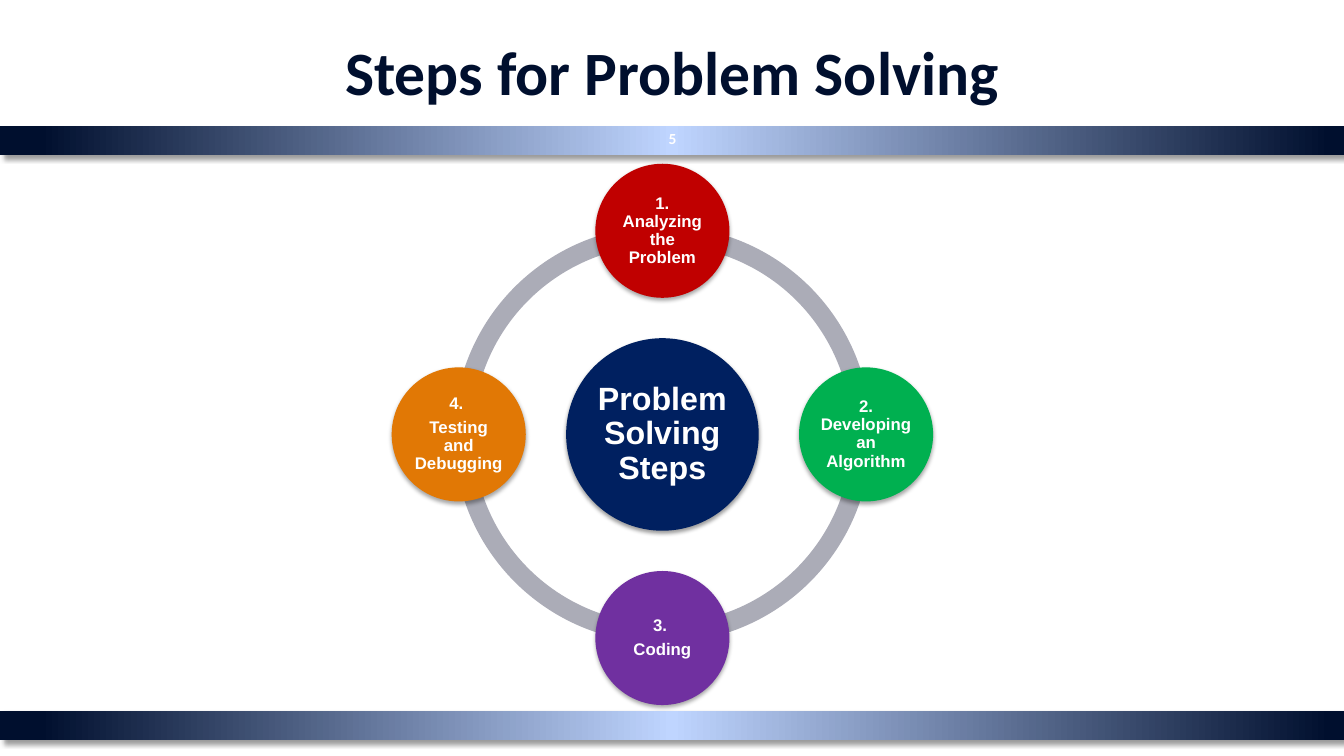
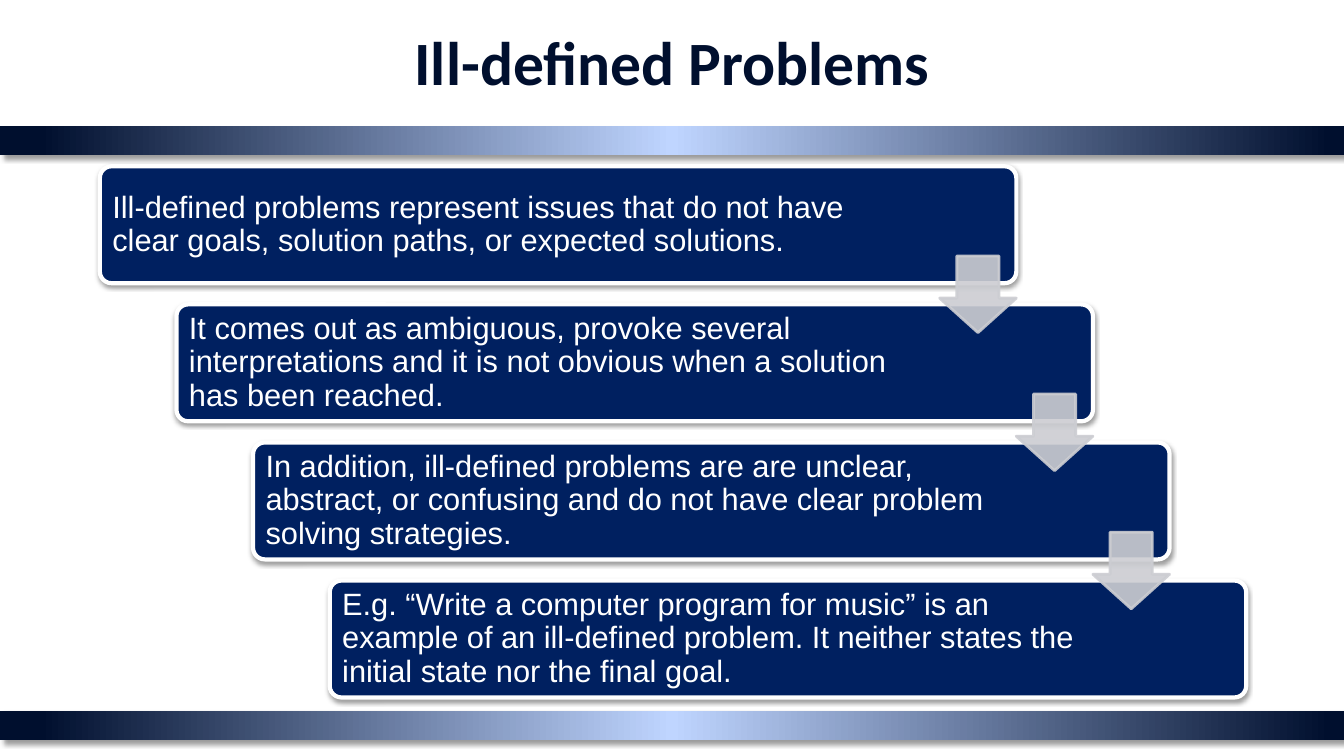
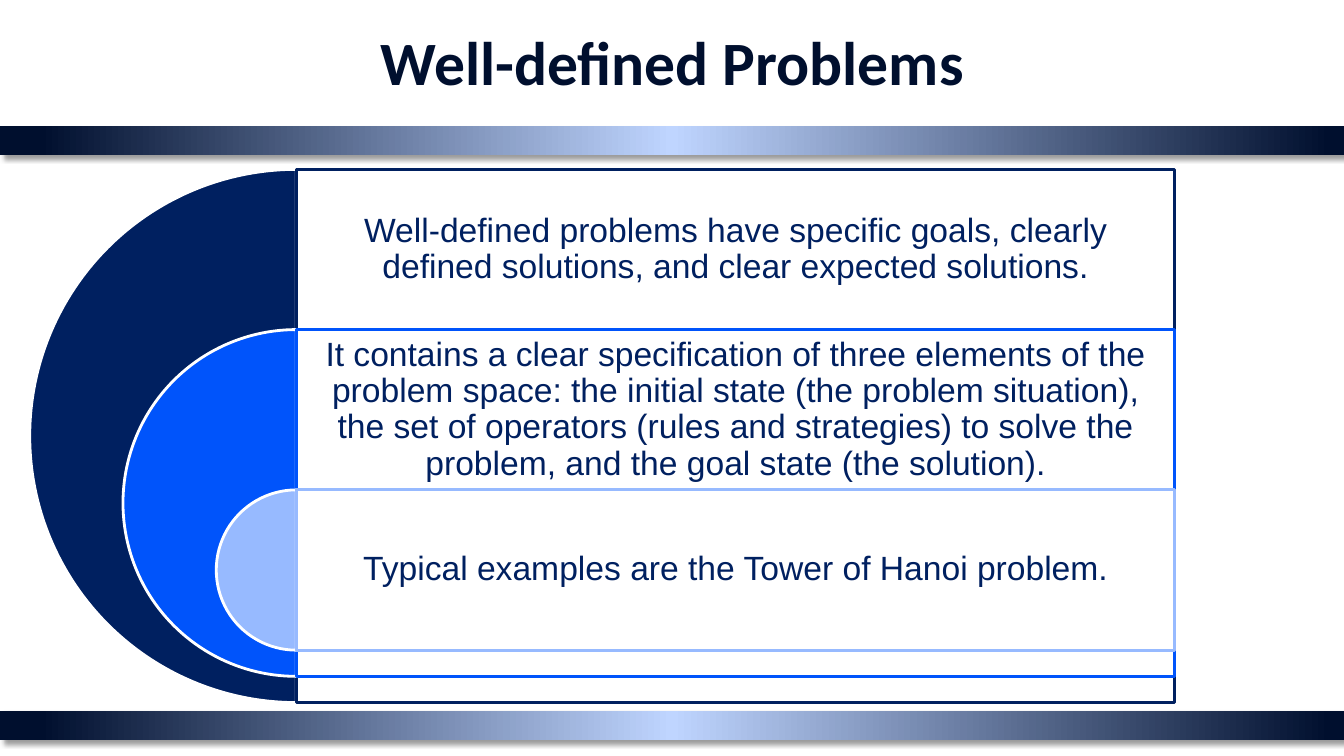
from dataclasses import dataclass
from math import cos, radians, sin

from pptx import Presentation
from pptx.dml.color import RGBColor as RGB
from pptx.enum.shapes import MSO_SHAPE as Kind
from pptx.enum.text import MSO_ANCHOR as Anchor, MSO_AUTO_SIZE as Fit, PP_ALIGN as Align
from pptx.oxml import parse_xml
from pptx.oxml.ns import nsdecls, qn
from pptx.util import Inches, Pt


@dataclass(frozen=True)
class Theme:
    head: str = "Calibri"
    body: str = "Arial"
    ink: str = "000F2E"
    glow: str = "BFD5FF"
    navy: str = "002060"
    blue: str = "0054FB"
    pale: str = "97BAFF"
    white: str = "FFFFFF"
    ring: str = "ABACB7"
    arrow: str = "CCCDD2"
    red: str = "C00000"
    green: str = "00B050"
    plum: str = "7030A0"
    amber: str = "E17805"
    title: int = 44
    page: int = 11
    hub: int = 23
    node: int = 12
    card: int = 22
    panel: int = 24


class Deck:
    def __init__(self, theme):
        self.look = theme
        self.show = Presentation()
        self.show.slide_width = Inches(13.33)
        self.show.slide_height = Inches(7.5)
        self.base = self.show.slide_layouts[5]
        self.slide = None

    def page(self, title, top=0.21, high=0.79):
        look = self.look
        first = self.slide is None
        self.slide = self.show.slides.add_slide(self.base)
        if first:
            self.bands()
        head = self.slide.shapes.title
        head.left, head.top = Inches(0.67), Inches(top)
        head.width, head.height = Inches(12), Inches(high)
        self.letter(head, title, look.title, look.ink, look.head, True,
                    pads=(0.1, 0.05, 0.1, 0.05), space=1, after=0)

    def bands(self):
        look = self.look
        stops = ((0, look.ink), (3, look.ink), (50, look.glow), (99, look.ink), (100, look.ink))
        for num, top in enumerate((1.25, 7.05)):
            band = self.shape(Kind.RECTANGLE, (0, top, 13.33, 0.29), look.ink)
            band.fill.gradient()
            band.fill.gradient_angle = 0
            grad = band.element.spPr.find(qn("a:gradFill"))
            marks = "".join(f'<a:gs pos="{at * 1000}"><a:srgbClr val="{tone}"/></a:gs>'
                            for at, tone in stops)
            grad.replace(grad.find(qn("a:gsLst")),
                         parse_xml(f'<a:gsLst {nsdecls("a")}>{marks}</a:gsLst>'))
            self.shade(band, 40, 4, 3, 45)
            band.element.nvSpPr.cNvPr.set("id", str(100 + num))
            self.base.shapes.element.insert(2 + num, band.element)

    def shape(self, kind, box, fill, line=None, width=2, adj=()):
        item = self.slide.shapes.add_shape(kind, *map(Inches, box))
        item.shadow.inherit = False
        item.fill.solid()
        item.fill.fore_color.rgb = RGB.from_string(fill)
        if line:
            item.line.color.rgb = RGB.from_string(line)
            item.line.width = Pt(width)
        else:
            item.line.fill.background()
        for num, value in enumerate(adj):
            item.adjustments[num] = value
        return item

    def shade(self, item, alpha, blur, dist, turn):
        item.element.spPr.find(qn("a:effectLst")).append(parse_xml(
            f'<a:outerShdw {nsdecls("a")} blurRad="{Pt(blur)}" dist="{Pt(dist)}" '
            f'dir="{turn * 60000}" algn="ctr" rotWithShape="0"><a:srgbClr val="000000">'
            f'<a:alpha val="{alpha * 1000}"/></a:srgbClr></a:outerShdw>'))

    def fade(self, item, *tags):
        for tag in tags:
            for tone in item.element.spPr.find(qn(tag)).iter(qn("a:srgbClr")):
                tone.append(parse_xml(f'<a:alpha {nsdecls("a")} val="90000"/>'))

    def letter(self, item, text, size, tone, font=None, bold=False, align=Align.CENTER,
               pads=(0.02, 0.02, 0.02, 0.02), space=0.9, after=0.35):
        frame = item.text_frame
        frame.text = text
        frame.word_wrap = True
        frame.auto_size = Fit.NONE
        frame.vertical_anchor = Anchor.MIDDLE
        (frame.margin_left, frame.margin_top,
         frame.margin_right, frame.margin_bottom) = map(Inches, pads)
        for para in frame.paragraphs:
            para.alignment = align
            para.line_spacing = space
            para.space_after = Pt(round(size * after, 1))
            for run in para.runs:
                run.font.name = font or self.look.body
                run.font.size = Pt(size)
                run.font.bold = bold
                run.font.color.rgb = RGB.from_string(tone)

    def label(self, box, text, size, tone):
        item = self.slide.shapes.add_textbox(*map(Inches, box))
        self.letter(item, text, size, tone, self.look.head, True,
                    pads=(0.1, 0.05, 0.1, 0.05), space=1, after=0)

    def disc(self, mid, size, fill, text, font, shadow):
        box = (mid[0] - size / 2, mid[1] - size / 2, size, size)
        item = self.shape(Kind.OVAL, box, fill)
        self.shade(item, *shadow)
        self.letter(item, text, font, self.look.white, bold=True)

    def cycle(self, mid, hub, nodes):
        look = self.look
        x, y = mid
        size, reach = 4.14, 2.02
        for start in (108, 54, 0, 162):
            self.shape(Kind.BLOCK_ARC, (x - size / 2, y - size / 2, size, size), look.ring,
                       adj=(start, (start + 54) % 216, 0.046))
        self.disc(mid, 1.91, look.navy, hub, look.hub, (38, 3.1, 1.6, 90))
        for num, (text, fill) in enumerate(nodes):
            turn = radians(num * 360 / len(nodes) - 90)
            spot = (x + reach * cos(turn), y + reach * sin(turn))
            self.disc(spot, 1.33, fill, text, look.node, (35, 3.1, 1.8, 90))

    def stairs(self, texts):
        look = self.look
        left, top, wide, high, tip = 0.99, 1.65, 9.09, 1.16, 0.76
        spots = [(left + 0.76 * n, top + 1.37 * n) for n in range(len(texts))]
        for (x, y), text in zip(spots, texts):
            card = self.shape(Kind.ROUNDED_RECTANGLE, (x, y, wide, high), look.navy,
                              look.white, 3, (0.1,))
            self.shade(card, 38, 3.1, 1.6, 90)
            self.letter(card, text, look.card, look.white, align=Align.LEFT,
                        pads=(0.09, 0.09, 1.6, 0.09))
        for x, y in spots[:-1]:
            arrow = self.shape(Kind.DOWN_ARROW, (x + wide - tip, y + 0.89, tip, tip),
                               look.arrow, look.arrow, adj=(0.55, 0.45))
            self.fade(arrow, "a:solidFill", "a:ln")

    def nest(self, rows):
        look = self.look
        axis, top, step, wide = 2.94, 1.68, 1.59, 8.71
        for num, (text, tone) in enumerate(rows):
            size = 5.29 - 1.85 * num
            y = top + step * num
            self.shape(Kind.PIE, (axis - size / 2, y, size, size), tone, look.white,
                       adj=(54, 162))
            panel = self.shape(Kind.RECTANGLE, (axis, y, wide, size), look.white, tone)
            self.fade(panel, "a:solidFill")
            self.letter(panel, text, look.panel, look.navy, pads=(0.1, 0, 0.1, size - step))


def main():
    look = Theme()
    deck = Deck(look)

    deck.page("Steps for Problem Solving", 0.08, 1.25)
    deck.label((6.39, 1.17, 0.56, 0.4), "5", look.page, look.white)
    deck.cycle((6.57, 4.31), "Problem Solving Steps", (
        ("1. Analyzing the Problem", look.red),
        ("2. Developing an Algorithm", look.green),
        ("3. \nCoding", look.plum),
        ("4. \nTesting and Debugging", look.amber),
    ))

    deck.page("Ill-defined Problems")
    deck.stairs((
        "Ill-defined problems represent issues that do not have clear goals, "
        "solution paths, or expected solutions.",
        "It comes out as ambiguous, provoke several interpretations and it is not "
        "obvious when a solution has been reached.",
        "In addition, ill-defined problems are are unclear, abstract, or confusing "
        "and do not have clear problem solving strategies.",
        "E.g. “Write a computer program for music” is an example of an ill-defined "
        "problem. It neither states the initial state nor the final goal.",
    ))

    deck.page("Well-defined Problems")
    deck.nest((
        ("Well-defined problems have specific goals, clearly defined solutions, "
         "and clear expected solutions.", look.navy),
        ("It contains a clear specification of three elements of the problem space: "
         "the initial state (the problem situation), the set of operators (rules and "
         "strategies) to solve the problem, and the goal state (the solution).", look.blue),
        ("Typical examples are the Tower of Hanoi problem.", look.pale),
    ))

    deck.show.save("out.pptx")


if __name__ == "__main__":
    main()
